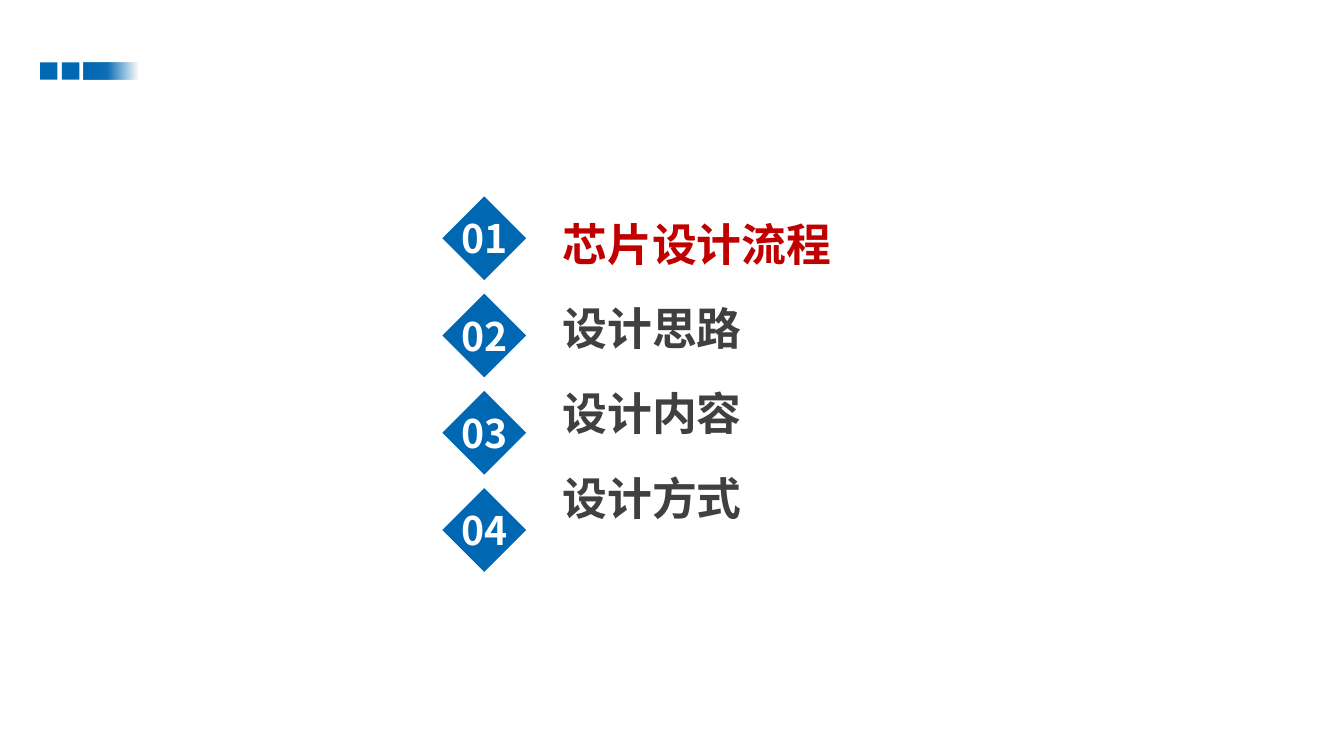
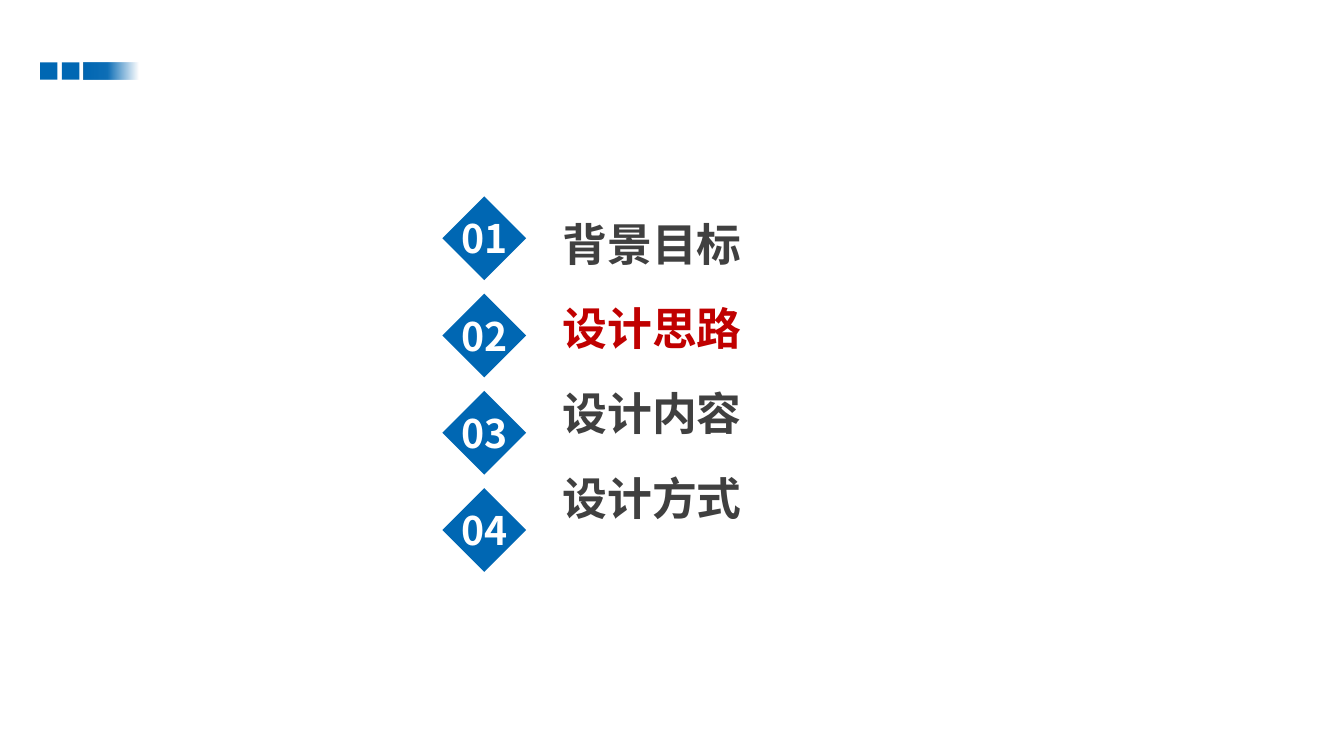
from lxml.etree import SubElement
from pptx import Presentation
from pptx.dml.color import RGBColor
from pptx.enum.shapes import MSO_SHAPE
from pptx.enum.text import MSO_ANCHOR, MSO_AUTO_SIZE, PP_ALIGN
from pptx.oxml.ns import qn
from pptx.util import Cm, Pt

AGENDAS = [
    (["芯片设计流程", "设计思路", "设计内容", "设计方式"], 0),
    (["背景目标", "设计思路", "设计内容", "设计方式"], 1),
]
FONT = "Noto Sans CJK SC"
BLUE, RED, GREY, WHITE = "0067B3", "C00000", "404040", "FFFFFF"
BAND_TOP, BAND_HEIGHT = 1.57, 0.44
BAND = [(1.01, 0.44), (1.56, 0.44), (2.1, 1.4)]
FADE = [(0, 100), (44, 94), (100, 0)]
DIAMOND_LEFT, DIAMOND_TOP, DIAMOND_SIZE, DIAMOND_PITCH = 11.15, 4.95, 2.11, 2.45


def rgb(value):
    return RGBColor.from_string(value)


def write(p, text, size=32, color=GREY, align=PP_ALIGN.LEFT, before=0):
    p.alignment = align
    p.space_before = Pt(before)
    r = p.add_run()
    r.text = text
    r.font.size = Pt(size)
    r.font.bold = True
    r.font.name = FONT
    r.font.color.rgb = rgb(color)
    SubElement(r.font._element, qn("a:ea"), typeface=FONT)


def add_shape(shapes, kind, left, top, width, height):
    sp = shapes.add_shape(kind, Cm(left), Cm(top), Cm(width), Cm(height))
    sp.shadow.inherit = False
    sp.fill.solid()
    sp.fill.fore_color.rgb = rgb(BLUE)
    sp.line.fill.background()
    return sp


def fade_right(sp):
    sp.fill.gradient()
    sp.fill.gradient_angle = 0
    stops = sp._element.spPr.find(qn("a:gradFill")).find(qn("a:gsLst"))
    for stop in list(stops):
        stops.remove(stop)
    for position, alpha in FADE:
        stop = SubElement(stops, qn("a:gs"), pos=str(position * 1000))
        color = SubElement(stop, qn("a:srgbClr"), val=BLUE)
        SubElement(color, qn("a:alpha"), val=str(alpha * 1000))


def prepare_layout(layout):
    for ph in list(layout.placeholders):
        if ph.placeholder_format.idx != 1:
            ph._element.getparent().remove(ph._element)
    body = layout.placeholders[0]
    body.left, body.top, body.width, body.height = Cm(13.92), Cm(5.33), Cm(9.58), Cm(9.5)


def add_band(s, layout):
    group = s.shapes.add_group_shape()
    for left, width in BAND:
        sp = add_shape(group.shapes, MSO_SHAPE.RECTANGLE, left, BAND_TOP, width, BAND_HEIGHT)
    fade_right(sp)
    layout.shapes._spTree.append(group._element)


def add_number(s, row):
    sp = add_shape(s.shapes, MSO_SHAPE.DIAMOND, DIAMOND_LEFT,
                   DIAMOND_TOP + row * DIAMOND_PITCH, DIAMOND_SIZE, DIAMOND_SIZE)
    tf = sp.text_frame
    tf.word_wrap = False
    tf.vertical_anchor = MSO_ANCHOR.MIDDLE
    tf.margin_left = tf.margin_right = tf.margin_top = tf.margin_bottom = 0
    write(tf.paragraphs[0], f"{row + 1:02d}", size=28, color=WHITE, align=PP_ALIGN.CENTER)


def add_agenda(prs, layout, items, active):
    s = prs.slides.add_slide(layout)
    tf = s.placeholders[1].text_frame
    tf.auto_size = MSO_AUTO_SIZE.NONE
    tf.vertical_anchor = MSO_ANCHOR.TOP
    for row, item in enumerate(items):
        p = tf.add_paragraph() if row else tf.paragraphs[0]
        pPr = p._p.get_or_add_pPr()
        pPr.set("marL", "0")
        pPr.set("indent", "0")
        SubElement(pPr, qn("a:buNone"))
        write(p, item, color=RED if row == active else GREY, before=22 if row else 0)
        add_number(s, row)
    return s


def main():
    prs = Presentation()
    prs.slide_width, prs.slide_height = Cm(33.87), Cm(19.05)
    layout = prs.slide_layouts[1]
    prepare_layout(layout)
    for items, active in AGENDAS:
        s = add_agenda(prs, layout, items, active)
    add_band(s, layout)
    prs.save("out.pptx")


if __name__ == "__main__":
    main()
